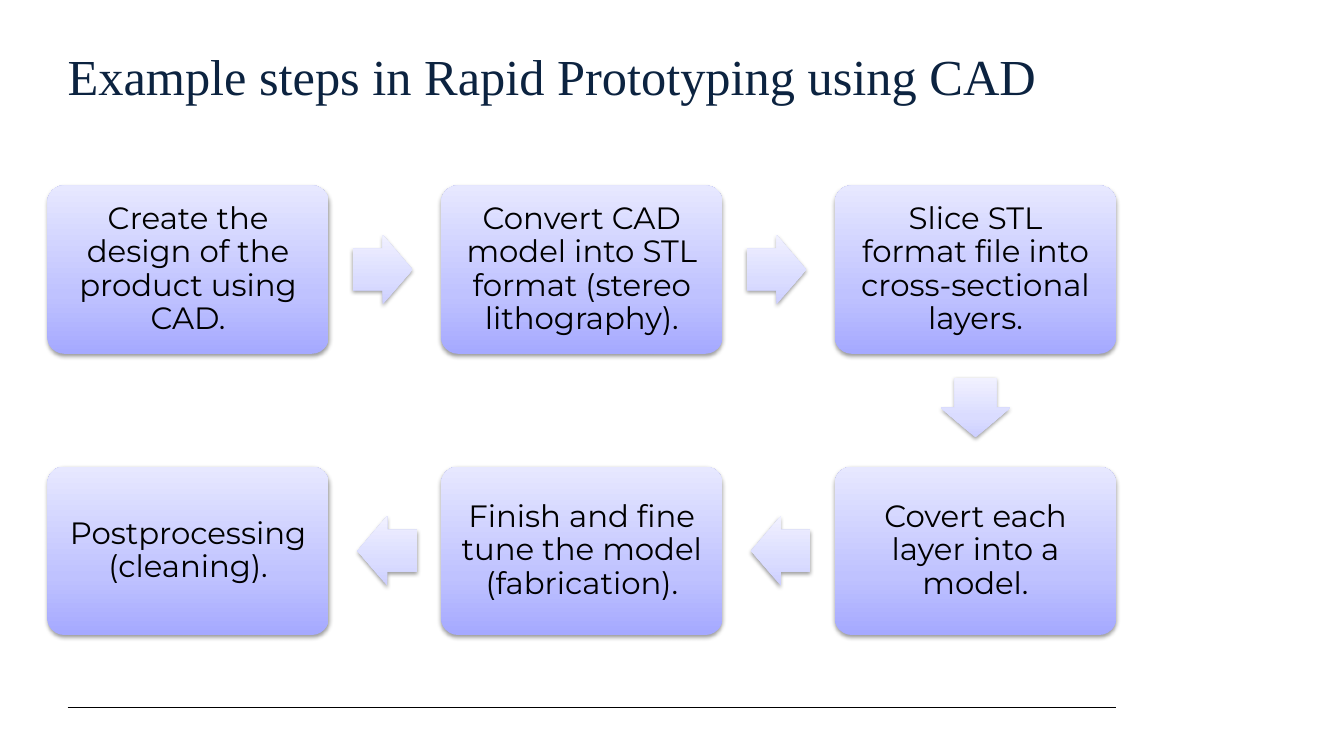
import dataclasses
import math

import pptx
import pptx.dml.color
import pptx.enum.shapes
import pptx.enum.text
import pptx.oxml
import pptx.oxml.ns
import pptx.util
from pptx.util import Inches


@dataclasses.dataclass(frozen=True)
class Theme:
    title_font: str = "Times New Roman"
    body_font: str = "Montserrat"
    title_size: int = 36
    step_size: int = 22
    title_color: str = "0C2340"
    ink: str = "000000"
    box_gradient: tuple = ("A5A9FF", "BFC2FF", "E7E8FF")
    arrow_gradient: tuple = ("CDCFFF", "DADCFF", "F1F1FF")


THEME = Theme()
GRADIENT_STOPS = (0, 35, 100)
LEFT, TOP = 0.47, 1.84
BOX_WIDTH, BOX_HEIGHT = 2.79, 1.67
COLUMN_PITCH, ROW_PITCH = 3.905, 2.79
ARROW_LENGTH, ARROW_WIDTH, ARROW_GAP = 0.59, 0.69, 0.24

STEPS = (
    ("Create the design of the product using CAD.", 0, 0),
    ("Convert CAD model into STL format (stereo lithography).", 1, 0),
    ("Slice STL format file into cross-sectional layers.", 2, 0),
    ("Covert each layer into a model.", 2, 1),
    ("Finish and fine tune the model (fabrication).", 1, 1),
    ("Postprocessing (cleaning).", 0, 1),
)


def apply_format(target, values):
    for name, value in values.items():
        setattr(target, name, value)


def rgb(value):
    return pptx.dml.color.RGBColor.from_string(value)


def format_font(paragraph, name, size, color):
    apply_format(paragraph.font, {"name": name, "size": pptx.util.Pt(size), "bold": False})
    paragraph.font.color.rgb = rgb(color)


def append_xml(shape, tag, attributes, content=""):
    namespace = pptx.oxml.ns.nsdecls("a")
    element = pptx.oxml.parse_xml(f"<a:{tag} {namespace} {attributes}>{content}</a:{tag}>")
    shape.element.spPr.append(element)


def add_gradient_shape(slide, kind, bounds, adjustments, colors):
    shape = slide.shapes.add_shape(kind, *map(Inches, bounds))
    for index, value in enumerate(adjustments):
        shape.adjustments[index] = value
    stops = "".join(
        f'<a:gs pos="{position * 1000}"><a:srgbClr val="{color}"/></a:gs>'
        for position, color in zip(GRADIENT_STOPS, colors)
    )
    append_xml(shape, "gradFill", 'rotWithShape="0"',
               f'<a:gsLst>{stops}</a:gsLst><a:lin ang="16200000" scaled="0"/>')
    shape.line.fill.background()
    append_xml(shape, "effectLst", "",
               '<a:outerShdw blurRad="39370" dist="20320" dir="5400000" rotWithShape="0">'
               '<a:srgbClr val="000000"><a:alpha val="38000"/></a:srgbClr></a:outerShdw>')
    return shape


def add_title(slide, text):
    title = slide.shapes.title
    apply_format(title, {"left": Inches(0.67), "top": Inches(0.45),
                         "width": Inches(10.41), "height": Inches(0.93)})
    frame = title.text_frame
    frame.text = text
    apply_format(frame, {
        "margin_left": 0, "margin_top": 0,
        "margin_right": Inches(0.1), "margin_bottom": Inches(0.05),
        "word_wrap": True,
        "auto_size": pptx.enum.text.MSO_AUTO_SIZE.NONE,
        "vertical_anchor": pptx.enum.text.MSO_ANCHOR.TOP,
    })
    paragraph = frame.paragraphs[0]
    paragraph.alignment = pptx.enum.text.PP_ALIGN.LEFT
    format_font(paragraph, THEME.title_font, THEME.title_size, THEME.title_color)


def add_step(slide, text, column, row):
    bounds = (LEFT + column * COLUMN_PITCH, TOP + row * ROW_PITCH, BOX_WIDTH, BOX_HEIGHT)
    box = add_gradient_shape(slide, pptx.enum.shapes.MSO_SHAPE.ROUNDED_RECTANGLE,
                             bounds, (0.1,), THEME.box_gradient)
    frame = box.text_frame
    frame.text = text
    margins = dict.fromkeys(
        ("margin_left", "margin_top", "margin_right", "margin_bottom"), Inches(0.14))
    apply_format(frame, {**margins, "word_wrap": True,
                         "vertical_anchor": pptx.enum.text.MSO_ANCHOR.MIDDLE})
    paragraph = frame.paragraphs[0]
    apply_format(paragraph, {"alignment": pptx.enum.text.PP_ALIGN.CENTER, "line_spacing": 0.9})
    format_font(paragraph, THEME.body_font, THEME.step_size, THEME.ink)


def add_arrow(slide, column, row, next_column, next_row):
    across, down = next_column - column, next_row - row
    reach = ARROW_GAP + ARROW_LENGTH / 2
    center_x = LEFT + column * COLUMN_PITCH + BOX_WIDTH / 2 + across * (BOX_WIDTH / 2 + reach)
    center_y = TOP + row * ROW_PITCH + BOX_HEIGHT / 2 + down * (BOX_HEIGHT / 2 + reach)
    bounds = (center_x - ARROW_LENGTH / 2, center_y - ARROW_WIDTH / 2,
              ARROW_LENGTH, ARROW_WIDTH)
    arrow = add_gradient_shape(slide, pptx.enum.shapes.MSO_SHAPE.RIGHT_ARROW,
                               bounds, (0.6, 0.5), THEME.arrow_gradient)
    arrow.rotation = math.degrees(math.atan2(down, across))


def add_footer_line(slide):
    line = slide.shapes.add_connector(
        pptx.enum.shapes.MSO_CONNECTOR.STRAIGHT,
        Inches(0.67), Inches(7.02), Inches(11.07), Inches(7.02))
    line.line.color.rgb = rgb(THEME.ink)
    line.line.width = pptx.util.Pt(0.75)
    append_xml(line, "effectLst", "")


def main():
    presentation = pptx.Presentation()
    apply_format(presentation, {"slide_width": Inches(13.33), "slide_height": Inches(7.5)})
    slide = presentation.slides.add_slide(presentation.slide_layouts.get_by_name("Title Only"))
    add_footer_line(slide)
    add_title(slide, "Example steps in Rapid Prototyping using CAD")
    for index, (text, column, row) in enumerate(STEPS):
        add_step(slide, text, column, row)
        if index + 1 < len(STEPS):
            add_arrow(slide, column, row, *STEPS[index + 1][1:])
    presentation.save("out.pptx")


if __name__ == "__main__":
    main()
